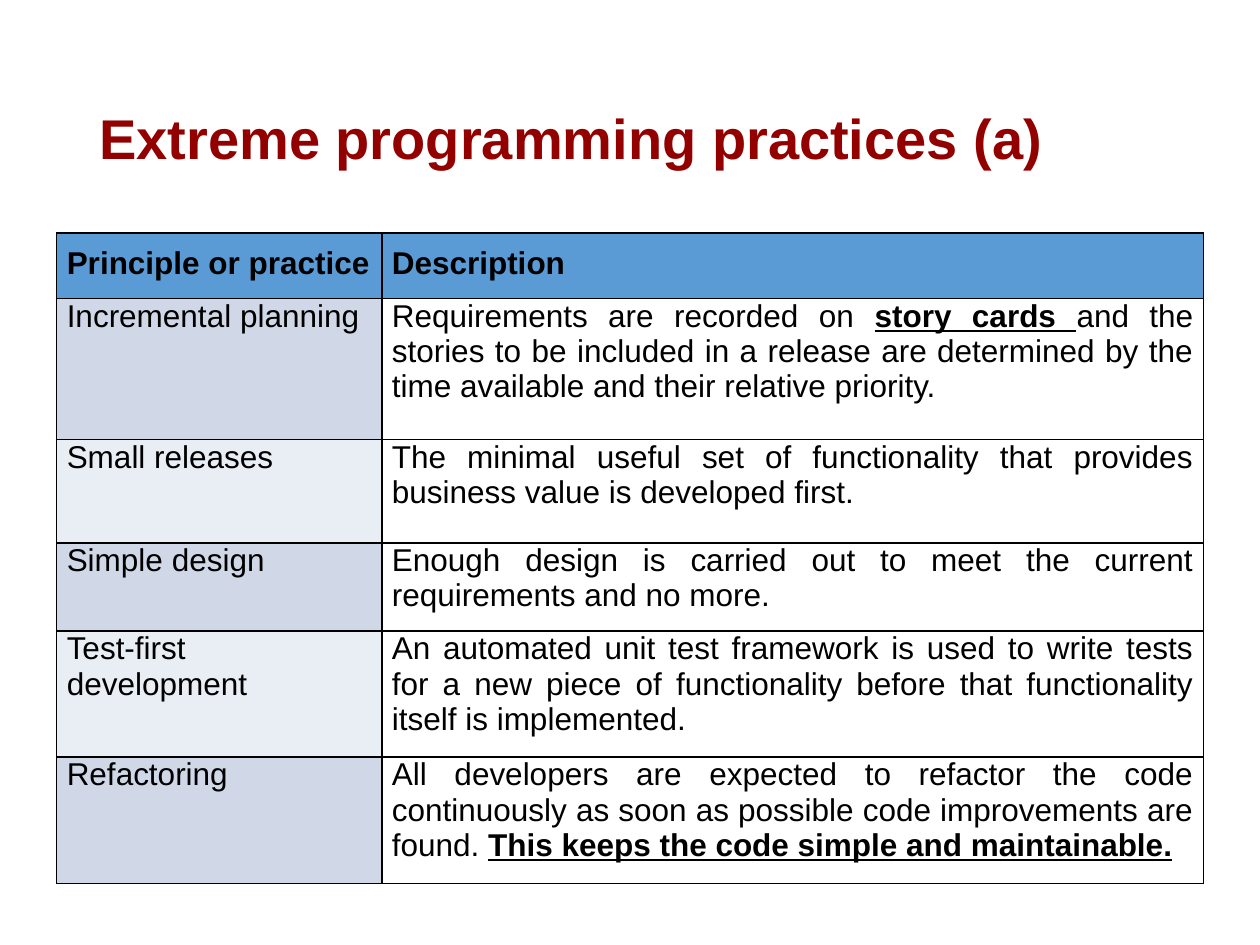
from lxml import etree
from pptx import Presentation
from pptx import util as u
from pptx.dml.color import RGBColor
from pptx.enum import text
from pptx.oxml.ns import qn

FONT = "Arial"
TITLE_RED = RGBColor(0x92, 0x00, 0x00)
BLACK = RGBColor(0x00, 0x00, 0x00)
HEADER_BLUE = RGBColor(0x5B, 0x9B, 0xD5)
BAND_COLORS = [RGBColor(0xD0, 0xD8, 0xE8), RGBColor(0xE9, 0xED, 0xF4)]

HEADINGS = ["Principle or practice", "Description"]
# Each description is a list of pieces; every second piece is emphasised.
PRACTICES = [
    ("Incremental planning", [
        "Requirements are recorded on ", "story cards ",
        "and the stories to be included in a release are determined by the "
        "time available and their relative priority."]),
    ("Small releases", [
        "The minimal useful set of functionality that provides business "
        "value is developed first."]),
    ("Simple design", [
        "Enough design is carried out to meet the current requirements "
        "and no more."]),
    ("Test-first development", [
        "An automated unit test framework is used to write tests for a new "
        "piece of functionality before that functionality itself is "
        "implemented."]),
    ("Refactoring", [
        "All developers are expected to refactor the code continuously as "
        "soon as possible code improvements are found. ",
        "This keeps the code simple and maintainable."]),
]
COLUMN_WIDTHS = [2.58, 6.52]
ROW_HEIGHTS = [0.52, 1.12, 0.82, 0.66, 0.94, 0.94]


def style_run(run, size, color, bold=False, underline=False):
    run.font.name = FONT
    run.font.size = u.Pt(size)
    run.font.color.rgb = color
    run.font.bold = bold
    run.font.underline = underline


def add_title(slide, left, top, width, height):
    box = slide.shapes.add_textbox(left, top, width, height)
    frame = box.text_frame
    frame.word_wrap = True
    frame.vertical_anchor = text.MSO_ANCHOR.MIDDLE
    frame.text = "Extreme programming practices (a)"
    frame.paragraphs[0].line_spacing = 0.9
    style_run(frame.paragraphs[0].runs[0], 32, TITLE_RED, bold=True)


def add_borders(cell):
    """Draw a thin black line on all four sides, placed before the cell fill."""
    properties = cell._tc.get_or_add_tcPr()
    for index, side in enumerate(["a:lnL", "a:lnR", "a:lnT", "a:lnB"]):
        line = etree.Element(qn(side), w=str(u.Pt(1)))
        fill = etree.SubElement(line, qn("a:solidFill"))
        etree.SubElement(fill, qn("a:srgbClr"), val=str(BLACK))
        properties.insert(index, line)


def fill_cell(cell, pieces, color=None, header=False):
    cell.margin_left = cell.margin_right = u.Inches(0.08)
    cell.margin_top = u.Inches(0.1 if header else 0)
    cell.margin_bottom = u.Inches(0.1)
    if color is None:
        cell.fill.background()
    else:
        cell.fill.solid()
        cell.fill.fore_color.rgb = color
    add_borders(cell)

    paragraph = cell.text_frame.paragraphs[0]
    paragraph.alignment = text.PP_ALIGN.JUSTIFY
    for index, piece in enumerate(pieces):
        emphasised = index % 2 == 1
        run = paragraph.add_run()
        run.text = piece
        style_run(run, 18, BLACK, header or emphasised, emphasised)


def add_practices_table(slide, left, top, width, height):
    table = slide.shapes.add_table(
        len(ROW_HEIGHTS), len(COLUMN_WIDTHS), left, top, width, height).table
    for column, column_width in zip(table.columns, COLUMN_WIDTHS):
        column.width = u.Inches(column_width)
    for row, row_height in zip(table.rows, ROW_HEIGHTS):
        row.height = u.Inches(row_height)

    for column, heading in enumerate(HEADINGS):
        fill_cell(table.cell(0, column), [heading], HEADER_BLUE, header=True)
    for row, (practice, description) in enumerate(PRACTICES, start=1):
        fill_cell(table.cell(row, 0), [practice], BAND_COLORS[(row - 1) % 2])
        fill_cell(table.cell(row, 1), description)


def main():
    presentation = Presentation()
    presentation.slide_width = u.Inches(10)
    presentation.slide_height = u.Inches(7.5)
    slide = presentation.slides.add_slide(presentation.slide_layouts[6])
    add_title(slide, u.Inches(0.69), u.Inches(0.4),
              u.Inches(8.62), u.Inches(1.45))
    add_practices_table(slide, u.Inches(0.45), u.Inches(1.85),
                        u.Inches(sum(COLUMN_WIDTHS)),
                        u.Inches(sum(ROW_HEIGHTS)))
    presentation.save("out.pptx")


if __name__ == "__main__":
    main()
